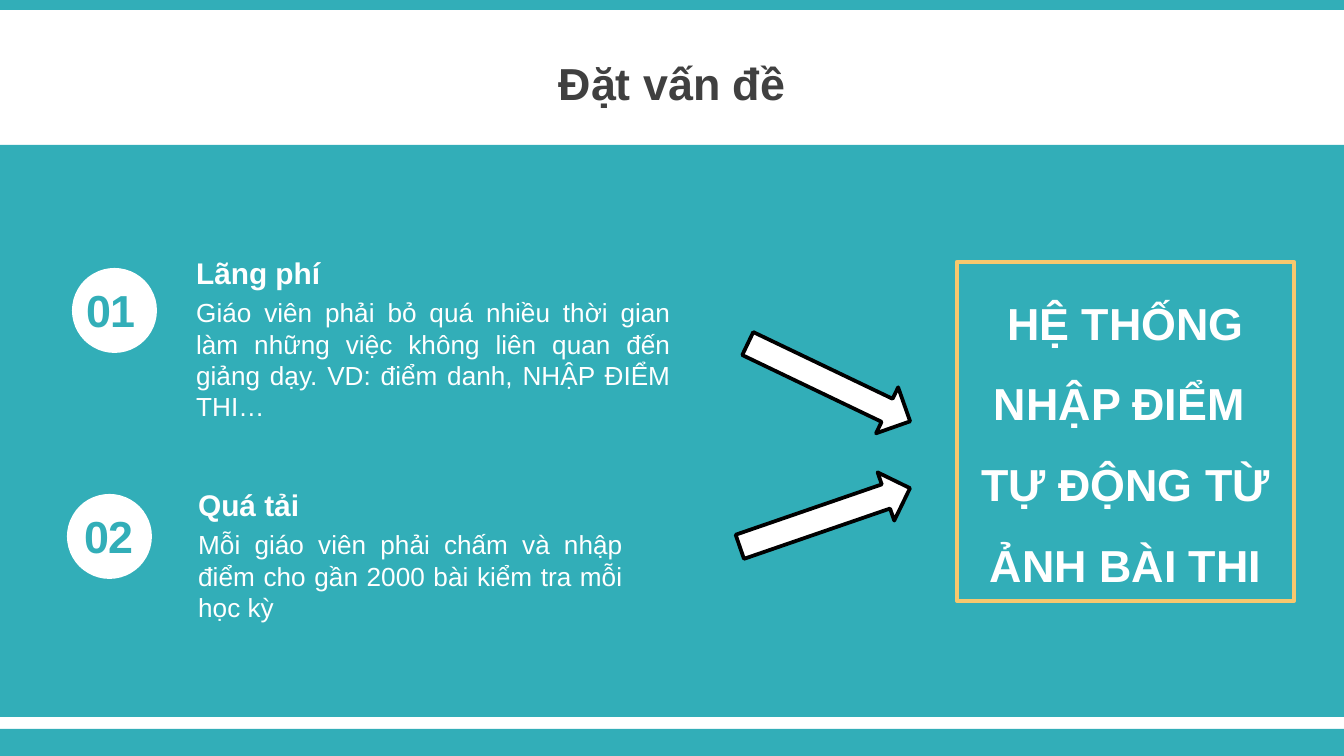
import pptx
import pptx.util
import pptx.dml.color
import pptx.enum.shapes
import pptx.enum.text

SHAPE = pptx.enum.shapes.MSO_SHAPE
ALIGN = pptx.enum.text.PP_ALIGN
ANCHOR = pptx.enum.text.MSO_ANCHOR
WIDTH, HEIGHT = 1344, 756
EMU_PER_PX = 9144000 / WIDTH
TEAL, WHITE, GREY, GOLD, BLACK = "32AEB8", "FFFFFF", "404040", "F7C86E", "000000"


def px(length):
    return pptx.util.Emu(round(length * EMU_PER_PX))


def color(value):
    return pptx.dml.color.RGBColor.from_string(value)


class SlideBuilder:
    """Draws styled elements on the current slide."""

    font = "Arial"

    def __init__(self, slide):
        self.slide = slide

    def shape(self, preset, box, fill=None, line=None, line_width=0, rotation=0):
        shape = self.slide.shapes.add_shape(preset, *map(px, box))
        shape.shadow.inherit = False
        shape.rotation = rotation
        if fill:
            shape.fill.solid()
            shape.fill.fore_color.rgb = color(fill)
        else:
            shape.fill.background()
        if line:
            shape.line.color.rgb = color(line)
            shape.line.width = pptx.util.Pt(line_width)
        else:
            shape.line.fill.background()
        return shape

    def set_text(self, frame, lines, size, ink, bold=False, align=ALIGN.LEFT,
                 anchor=ANCHOR.TOP, spacing=None):
        frame.word_wrap = True
        frame.vertical_anchor = anchor
        for index, line in enumerate(lines):
            paragraph = frame.add_paragraph() if index else frame.paragraphs[0]
            paragraph.text = line
            paragraph.alignment = align
            paragraph.line_spacing = spacing
            paragraph.font.name = self.font
            paragraph.font.size = pptx.util.Pt(size)
            paragraph.font.bold = bold
            paragraph.font.color.rgb = color(ink)

    def text(self, box, line, size, ink, **style):
        textbox = self.slide.shapes.add_textbox(*map(px, box))
        self.set_text(textbox.text_frame, [line], size, ink, **style)

    def band(self, top, height):
        self.shape(SHAPE.RECTANGLE, (0, top, WIDTH, height), TEAL)

    def problem(self, number, circle, number_left, left, top, width, heading, body):
        circle_left, circle_top = circle
        self.shape(SHAPE.OVAL, (circle_left, circle_top, 85, 85), WHITE)
        self.text((number_left, circle_top + 8, 94, 67), number, 24, TEAL,
                  bold=True, align=ALIGN.CENTER)
        self.text((left, top + 42, width, 140), body, 14, WHITE, align=ALIGN.JUSTIFY)
        self.text((left, top, width, 50), heading, 16, WHITE, bold=True)

    def arrow(self, left, top, rotation):
        self.shape(SHAPE.RIGHT_ARROW, (left, top, 180, 51), WHITE, BLACK, 2, rotation)

    def solution(self, box, lines):
        frame = self.shape(SHAPE.RECTANGLE, box, line=GOLD, line_width=2.25).text_frame
        self.set_text(frame, lines, 24, WHITE, bold=True, align=ALIGN.CENTER, spacing=1.5)


def main():
    presentation = pptx.Presentation()
    presentation.slide_width, presentation.slide_height = px(WIDTH), px(HEIGHT)
    builder = SlideBuilder(presentation.slides.add_slide(presentation.slide_layouts[6]))

    for top, height in ((729, 27), (0, 10), (145, 572)):
        builder.band(top, height)
    builder.text((0, 30, WIDTH, 106), "Đặt vấn đề", 24, GREY,
                 bold=True, align=ALIGN.CENTER, anchor=ANCHOR.MIDDLE)

    builder.problem("01", (72, 268), 64, 183, 248, 501, "Lãng phí",
                    "Giáo viên phải bỏ quá nhiều thời gian làm những việc không liên "
                    "quan đến giảng dạy. VD: điểm danh, NHẬP ĐIỂM THI…")
    builder.problem("02", (67, 494), 62, 185, 480, 451, "Quá tải",
                    "Mỗi giáo viên phải chấm và nhập điểm cho gần 2000 bài kiểm tra "
                    "mỗi học kỳ")

    builder.solution((957, 262, 337, 339),
                     ["HỆ THỐNG NHẬP ĐIỂM ", "TỰ ĐỘNG TỪ ẢNH BÀI THI"])
    builder.arrow(739, 357, 25.6)
    builder.arrow(735, 492, 341)

    presentation.save("out.pptx")


if __name__ == "__main__":
    main()
